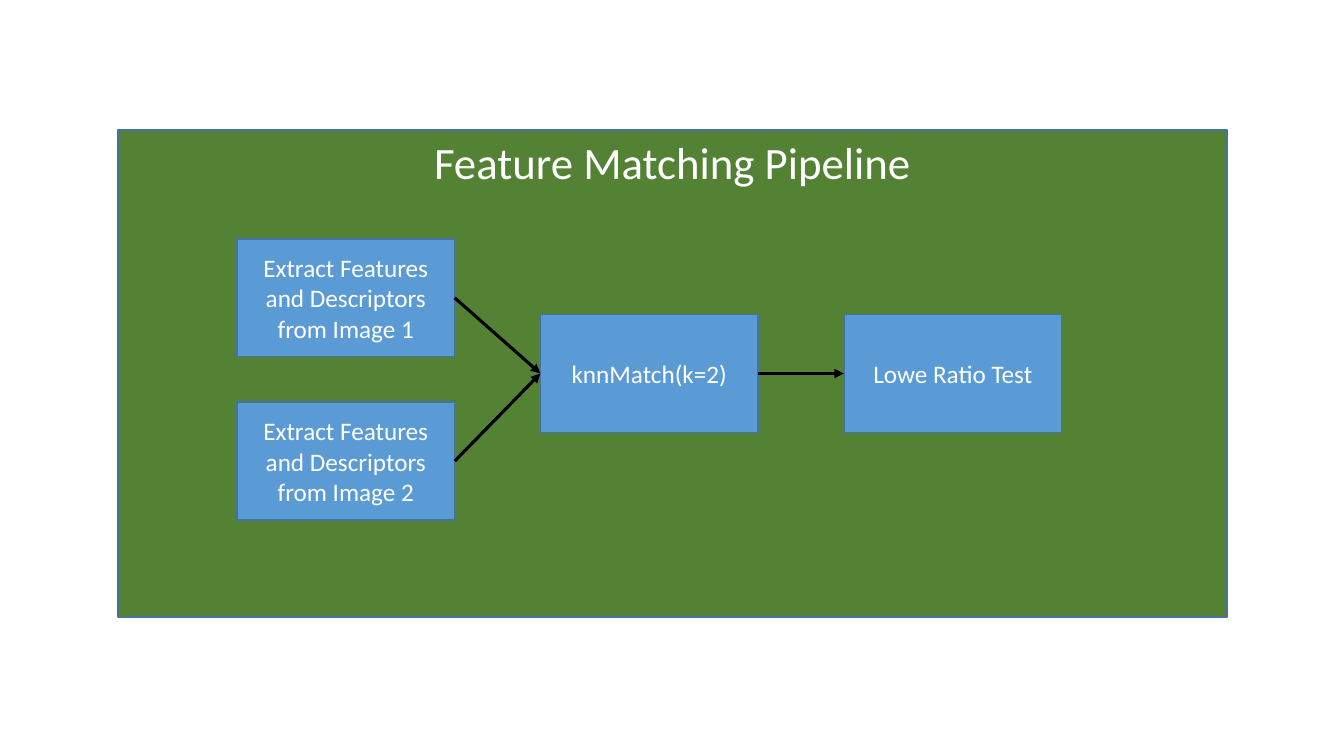
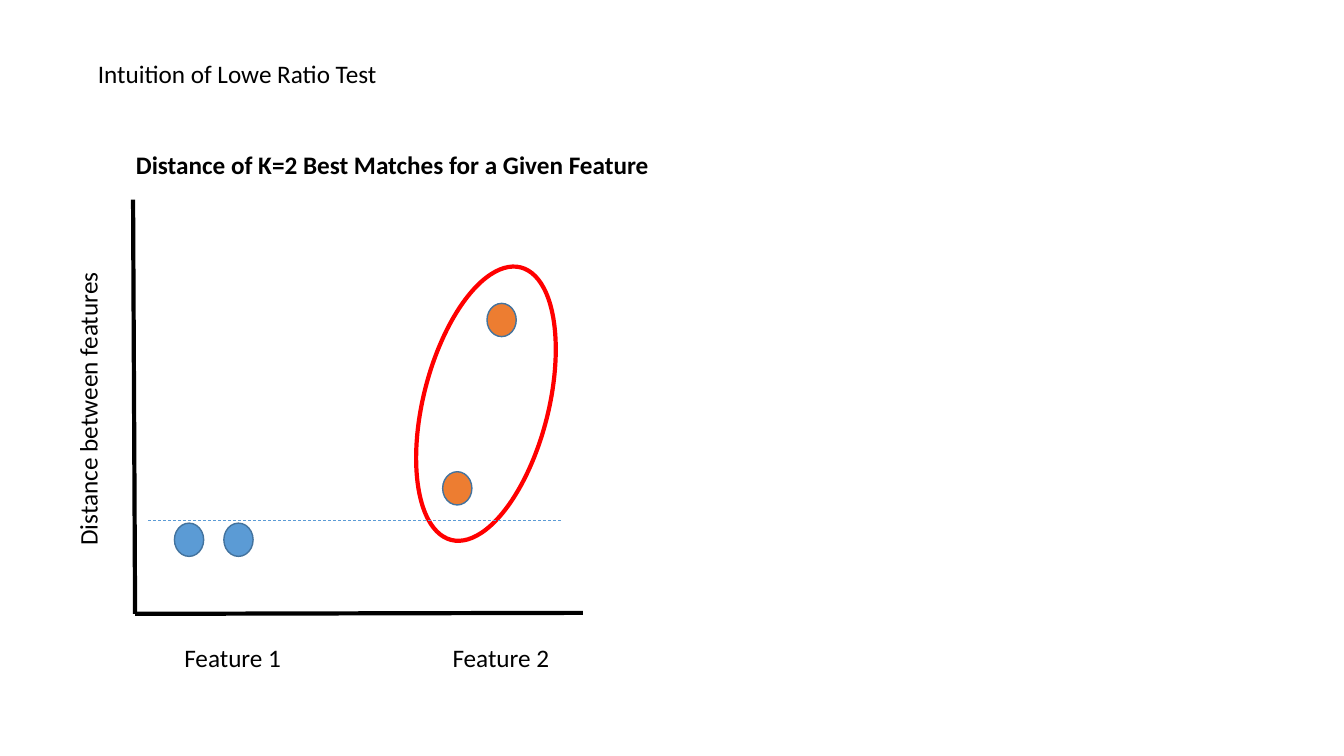
from dataclasses import dataclass

from lxml.etree import SubElement
from pptx import Presentation
from pptx.dml.color import RGBColor
from pptx.enum.dml import MSO_LINE
from pptx.enum.shapes import MSO_CONNECTOR, MSO_SHAPE
from pptx.enum.text import MSO_ANCHOR as Anchor, MSO_AUTO_SIZE, PP_ALIGN as Align
from pptx.oxml.ns import qn
from pptx.shapes.autoshape import Shape
from pptx.shapes.connector import Connector
from pptx.slide import Slide
from pptx.util import Emu, Pt

PX = 9144  # EMU; 100 px to the inch
FONT = "Calibri"
BLACK = RGBColor(0x00, 0x00, 0x00)
WHITE = RGBColor(0xFF, 0xFF, 0xFF)
BLUE = RGBColor(0x5B, 0x9B, 0xD5)
EDGE = RGBColor(0x43, 0x73, 0x9E)
GREEN = RGBColor(0x54, 0x82, 0x35)
ORANGE = RGBColor(0xED, 0x7D, 0x31)
RED = RGBColor(0xFF, 0x00, 0x00)
TITLE_ONLY = 5
RIGHT_SIDE, LEFT_SIDE = 3, 1


@dataclass(frozen=True)
class Box:
    left: int
    top: int
    width: int
    height: int

    def emu(self) -> tuple[Emu, Emu, Emu, Emu]:
        return px(self.left), px(self.top), px(self.width), px(self.height)


@dataclass(frozen=True)
class Step:
    text: str
    column: int
    top: int


@dataclass(frozen=True)
class Match:
    left: int
    top: int
    color: RGBColor


@dataclass(frozen=True)
class Label:
    text: str
    box: Box
    bold: bool = False
    rotation: int = 0


STEPS = (
    Step("Extract Features and Descriptors from Image 1", 0, 237),
    Step("Extract Features and Descriptors from Image 2", 0, 399),
    Step("knnMatch(k=2)", 1, 312),
    Step("Lowe Ratio Test", 2, 312),
)
FLOWS = ((0, 2), (1, 2), (2, 3))
STEP_LEFT, STEP_PITCH, STEP_WIDTH, STEP_HEIGHT = 235, 301, 216, 117

MATCHES = (
    Match(173, 519, BLUE),
    Match(222, 519, BLUE),
    Match(439, 468, ORANGE),
    Match(483, 301, ORANGE),
)
LABELS = (
    Label("Distance between features", Box(-60, 384, 294, 40), rotation=270),
    Label("Feature 1", Box(173, 632, 117, 40)),
    Label("Feature 2", Box(439, 632, 117, 40)),
    Label("Distance of K=2 Best Matches for a Given Feature",
          Box(125, 143, 534, 40), bold=True),
)


def px(length: int) -> Emu:
    return Emu(length * PX)


def write(shape: Shape, text: str, *, size: int = 18, color: RGBColor = BLACK,
          bold: bool = False, align: Align = Align.LEFT,
          anchor: Anchor = Anchor.TOP, wrap: bool = False) -> None:
    frame = shape.text_frame
    frame.auto_size = MSO_AUTO_SIZE.NONE
    frame.word_wrap = wrap
    frame.vertical_anchor = anchor
    paragraph = frame.paragraphs[0]
    paragraph.alignment = align
    run = paragraph.add_run()
    run.text = text
    run.font.name = FONT
    run.font.size = Pt(size)
    run.font.bold = bold
    run.font.color.rgb = color


def paint(shape: Shape, fill: RGBColor | None, edge: RGBColor = EDGE,
          weight: float = 1) -> None:
    if fill is None:
        shape.fill.background()
    else:
        shape.fill.solid()
        shape.fill.fore_color.rgb = fill
    shape.line.color.rgb = edge
    shape.line.width = Pt(weight)


def add_figure(slide: Slide, kind: MSO_SHAPE, box: Box, fill: RGBColor | None,
               edge: RGBColor = EDGE, weight: float = 1) -> Shape:
    figure = slide.shapes.add_shape(kind, *box.emu())
    figure.shadow.inherit = False
    paint(figure, fill, edge, weight)
    return figure


def add_line(slide: Slide, start: tuple[int, int], end: tuple[int, int],
             color: RGBColor = BLACK, weight: float = 3) -> Connector:
    line = slide.shapes.add_connector(
        MSO_CONNECTOR.STRAIGHT, *map(px, start), *map(px, end))
    line.line.color.rgb = color
    line.line.width = Pt(weight)
    SubElement(line.element.spPr, qn("a:effectLst"))
    return line


def add_flow(slide: Slide, source: Shape, target: Shape) -> None:
    """Join two steps with an arrow from right side to left side."""
    arrow = add_line(slide, (0, 0), (0, 0), weight=2.25)
    arrow.begin_connect(source, RIGHT_SIDE)
    arrow.end_connect(target, LEFT_SIDE)
    SubElement(arrow.get_or_add_ln(), qn("a:tailEnd"), type="triangle")


def add_titled_slide(deck: Presentation, box: Box) -> tuple[Slide, Shape]:
    slide = deck.slides.add_slide(deck.slide_layouts[TITLE_ONLY])
    title = slide.shapes.title
    title.left, title.top, title.width, title.height = box.emu()
    return slide, title


def build_pipeline(deck: Presentation) -> None:
    slide, panel = add_titled_slide(deck, Box(117, 129, 1100, 483))
    paint(panel, GREEN)
    write(panel, "Feature Matching Pipeline", size=32, color=WHITE,
          align=Align.CENTER, wrap=True)
    steps = []
    for step in STEPS:
        box = Box(STEP_LEFT + step.column * STEP_PITCH, step.top,
                  STEP_WIDTH, STEP_HEIGHT)
        block = add_figure(slide, MSO_SHAPE.RECTANGLE, box, BLUE)
        write(block, step.text, color=WHITE, align=Align.CENTER,
              anchor=Anchor.MIDDLE, wrap=True)
        steps.append(block)
    for source, target in FLOWS:
        add_flow(slide, steps[source], steps[target])


def build_intuition(deck: Presentation) -> None:
    slide, title = add_titled_slide(deck, Box(87, 53, 300, 40))
    write(title, "Intuition of Lowe Ratio Test")
    for match in MATCHES:
        add_figure(slide, MSO_SHAPE.OVAL, Box(match.left, match.top, 29, 33),
                   match.color)
    highlight = add_figure(slide, MSO_SHAPE.OVAL, Box(420, 261, 124, 279),
                           None, RED, 3)
    highlight.rotation = 14.3

    threshold = add_line(slide, (147, 516), (556, 516), BLUE, 0.5)
    threshold.line.dash_style = MSO_LINE.DASH
    origin = (134, 609)
    for axis_end in ((132, 198), (578, 608)):
        add_line(slide, axis_end, origin)

    for label in LABELS:
        caption = slide.shapes.add_textbox(*label.box.emu())
        caption.rotation = label.rotation
        write(caption, label.text, bold=label.bold)


def main() -> None:
    deck = Presentation()
    deck.slide_width, deck.slide_height = px(1333), px(750)
    build_pipeline(deck)
    build_intuition(deck)
    deck.save("out.pptx")


if __name__ == "__main__":
    main()
